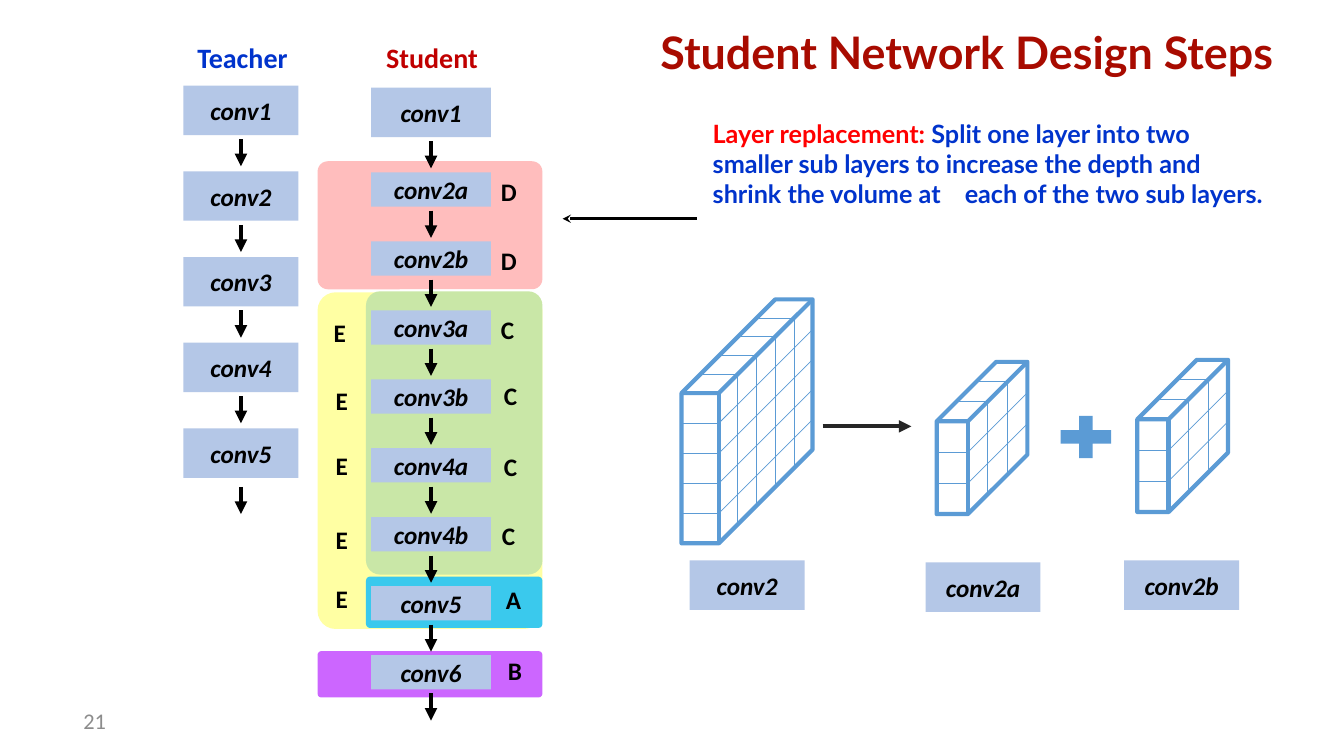
from lxml import etree
from pptx import Presentation
from pptx.dml.color import RGBColor
from pptx.enum.shapes import MSO_CONNECTOR, MSO_SHAPE
from pptx.enum.text import MSO_ANCHOR, PP_ALIGN
from pptx.oxml.ns import qn
from pptx.util import Inches, Pt

STRAIGHT = MSO_CONNECTOR.STRAIGHT
RECTANGLE, ROUNDED = MSO_SHAPE.RECTANGLE, MSO_SHAPE.ROUNDED_RECTANGLE
CUBE, PLUS = MSO_SHAPE.CUBE, MSO_SHAPE.MATH_PLUS
LEFT, CENTER, RIGHT = PP_ALIGN.LEFT, PP_ALIGN.CENTER, PP_ALIGN.RIGHT
TOP, MIDDLE = MSO_ANCHOR.TOP, MSO_ANCHOR.MIDDLE

COLORS = {
    "black": "000000", "layer": "B4C7E7", "teacher": "0033CC", "student": "C00000",
    "title": "A80B00", "red": "FF0000", "number": "8C8C8C", "cube": "5B9BD5",
    "split": "262626", "yellow": "FFFFA3", "purple": "CC66FF", "cyan": "3AC9ED",
    "green": "C9E7A7", "pink": "FFBDBD",
}
SLIDE_SIZE = (13.33, 7.5)
TITLE = "Student Network Design Steps"
DESCRIPTION = [
    ("Layer replacement: ", "red"),
    ("Split one layer into two smaller sub layers to increase the depth and "
     "shrink the volume at \teach of the two sub layers.", "teacher"),
]
PANELS = [
    ("yellow", 3.15, 2.9, 2.23, 3.34),
    ("purple", 3.15, 6.46, 2.23, 0.46),
    ("cyan", 3.63, 5.72, 1.75, 0.51),
    ("green", 3.63, 2.89, 1.75, 2.81),
    ("pink", 3.15, 1.6, 2.23, 1.27),
]
TEACHER_LAYERS = ["conv1", "conv2", "conv3", "conv4", "conv5"]
STUDENT_LAYERS = ["conv2a", "conv2b", "conv3a", "conv3b", "conv4a", "conv4b", "conv5", "conv6"]
HEADINGS = [("Teacher", 1.76, "teacher"), ("Student", 3.64, "student")]
STEP_LETTERS = [
    ("D", 4.87, 1.7), ("D", 4.87, 2.38),
    ("C", 4.87, 3.07), ("C", 4.9, 3.72), ("C", 4.9, 4.43), ("C", 4.88, 5.11),
    ("A", 4.92, 5.75), ("B", 4.94, 6.45),
    ("E", 3.21, 3.1), ("E", 3.23, 3.77), ("E", 3.23, 4.42), ("E", 3.23, 5.15), ("E", 3.23, 5.74),
]
CUBES = [
    (6.76, 2.97, 1.3, 2.42, 0.93, 5),
    (9.29, 3.59, 0.9, 1.51, 0.59, 3),
    (11.28, 3.57, 0.9, 1.51, 0.59, 3),
]
CUBE_LABELS = [("conv2", 6.84, 5.56), ("conv2a", 9.18, 5.58), ("conv2b", 11.15, 5.56)]

LAYER_WIDTH, LAYER_HEIGHT = 1.14, 0.49
TEACHER_LEFT, TEACHER_TOP, TEACHER_PITCH = 1.82, 0.85, 0.85
STUDENT_LEFT, STUDENT_TOP, STUDENT_WIDTH, STUDENT_HEIGHT = 3.68, 1.71, 1.19, 0.34
STUDENT_PITCH = (6.5 - STUDENT_TOP) / (len(STUDENT_LAYERS) - 1)
ARROW_LENGTH = 0.27

presentation = Presentation()
presentation.slide_width, presentation.slide_height = map(Inches, SLIDE_SIZE)
slide = presentation.slides.add_slide(presentation.slide_layouts[5])


def rgb(name):
    return RGBColor.from_string(COLORS[name])


def write(shape, runs, size, align=LEFT, anchor=TOP, font="Calibri", bold=True, italic=False):
    frame = shape.text_frame
    frame.word_wrap = True
    frame.vertical_anchor = anchor
    paragraph = frame.paragraphs[0]
    paragraph.alignment = align
    for text, color in runs:
        run = paragraph.add_run()
        run.text = text
        run.font.name, run.font.size = font, Pt(size)
        run.font.bold, run.font.italic = bold, italic
        run.font.color.rgb = rgb(color)
    return paragraph


def add_text(box, runs, size, **options):
    return write(slide.shapes.add_textbox(*map(Inches, box)), runs, size, **options)


def add_block(kind, box, fill=None, outline=None):
    shape = slide.shapes.add_shape(kind, *map(Inches, box))
    shape.shadow.inherit = False
    if fill:
        shape.fill.solid()
        shape.fill.fore_color.rgb = rgb(fill)
    else:
        shape.fill.background()
    if outline:
        shape.line.color.rgb = rgb(outline)
        shape.line.width = Pt(3)
    else:
        shape.line.fill.background()
    return shape


def add_layer(name, left, top, width=LAYER_WIDTH, height=LAYER_HEIGHT):
    shape = add_block(RECTANGLE, (left, top, width, height), "layer")
    write(shape, [(name, "black")], 18, align=CENTER, anchor=MIDDLE, italic=True)


def add_line(start, end, color, width, head=None):
    connector = slide.shapes.add_connector(STRAIGHT, *map(Inches, start + end))
    connector.line.color.rgb = rgb(color)
    connector.line.width = Pt(width)
    if head:
        line = connector.line._get_or_add_ln()
        etree.SubElement(line, qn("a:tailEnd"), type=head)
    etree.SubElement(connector._element.spPr, qn("a:effectLst"))


def add_down_arrow(center, top):
    add_line((center, top), (center, top + ARROW_LENGTH), "black", 3, "triangle")


def add_cube(left, top, width, height, depth, cells):
    cube = add_block(CUBE, (left, top, width, height), outline="cube")
    cube.adjustments[0] = depth / width
    front_right, front_top, bottom = left + width - depth, top + depth, top + height
    for cell in range(1, cells):
        row = front_top + (height - depth) * cell / cells
        shift = depth * cell / cells
        edge, back = front_right + shift, front_top - shift
        for start, end in [
            ((left, row), (front_right, row)),
            ((front_right, row), (left + width, row - depth)),
            ((left + shift, back), (edge, back)),
            ((edge, back), (edge, bottom - shift)),
        ]:
            add_line(start, end, "cube", 0.5)


title = slide.shapes.title
title.left, title.top, title.width, title.height = map(Inches, (6.45, 0.16, 6.57, 0.78))
write(title, [(TITLE, "title")], 32, anchor=MIDDLE, font="Lato").line_spacing = 0.9

for color, *box in PANELS:
    add_block(ROUNDED, box, color).adjustments[0] = 0.08

student_center = STUDENT_LEFT + STUDENT_WIDTH / 2
add_layer("conv1", STUDENT_LEFT, 0.87, STUDENT_WIDTH)
add_down_arrow(student_center, 1.4)
for index, name in enumerate(STUDENT_LAYERS):
    top = STUDENT_TOP + index * STUDENT_PITCH
    add_layer(name, STUDENT_LEFT, top, STUDENT_WIDTH, STUDENT_HEIGHT)
    add_down_arrow(student_center, top + STUDENT_HEIGHT + 0.04)

for index, name in enumerate(TEACHER_LAYERS):
    top = TEACHER_TOP + index * TEACHER_PITCH
    add_layer(name, TEACHER_LEFT, top)
    gap = 0.09 if name == TEACHER_LAYERS[-1] else 0.04
    add_down_arrow(TEACHER_LEFT + LAYER_WIDTH / 2, top + LAYER_HEIGHT + gap)

for text, left, color in HEADINGS:
    add_text((left, 0.35, 1.29, 0.44), [(text, color)], 20, align=CENTER)
for letter, left, top in STEP_LETTERS:
    add_text((left, top, 0.57, 0.4), [(letter, "black")], 18)
add_text((0.72, 6.95, 0.43, 0.4), [("21", "number")], 16, align=RIGHT, anchor=MIDDLE, bold=False)

description = add_text((6.59, 1.12, 6.05, 1.44), DESCRIPTION, 18, font="Lato")
description._p.get_or_add_pPr().set("marL", str(Inches(0.38)))
add_line((6.91, 2.17), (5.58, 2.17), "black", 2, "stealth")

for cube in CUBES:
    add_cube(*cube)
add_line((8.16, 4.23), (9.04, 4.23), "split", 3, "triangle")
add_block(PLUS, (10.43, 4.05, 0.68, 0.57), "cube")
for label in CUBE_LABELS:
    add_layer(*label)

presentation.save("out.pptx")
